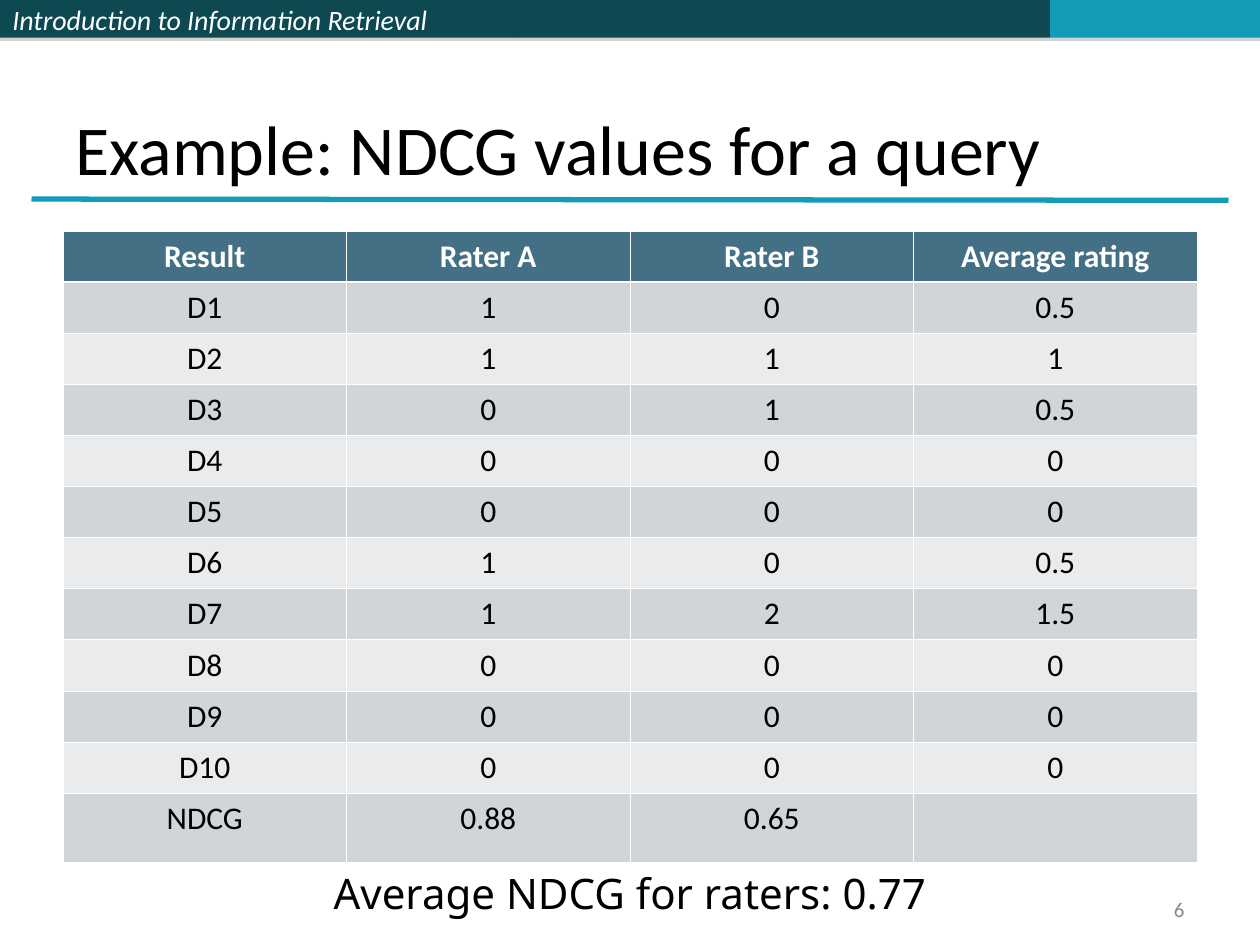
from lxml import etree
from pptx import Presentation
from pptx.dml.color import RGBColor
from pptx.enum.shapes import MSO_CONNECTOR, MSO_SHAPE
from pptx.enum.text import MSO_ANCHOR, MSO_AUTO_SIZE, PP_ALIGN
from pptx.oxml.ns import qn
from pptx.util import Pt

RECTANGLE = MSO_SHAPE.RECTANGLE
STRAIGHT = MSO_CONNECTOR.STRAIGHT
TOP, MIDDLE, BOTTOM = MSO_ANCHOR.TOP, MSO_ANCHOR.MIDDLE, MSO_ANCHOR.BOTTOM
LEFT, CENTER, RIGHT = PP_ALIGN.LEFT, PP_ALIGN.CENTER, PP_ALIGN.RIGHT
FIT_SHAPE = MSO_AUTO_SIZE.SHAPE_TO_FIT_TEXT

RATINGS = [
    ("Result", "Rater A", "Rater B", "Average rating"),
    ("D1", "1", "0", "0.5"),
    ("D2", "1", "1", "1"),
    ("D3", "0", "1", "0.5"),
    ("D4", "0", "0", "0"),
    ("D5", "0", "0", "0"),
    ("D6", "1", "0", "0.5"),
    ("D7", "1", "2", "1.5"),
    ("D8", "0", "0", "0"),
    ("D9", "0", "0", "0"),
    ("D10", "0", "0", "0"),
    ("NDCG", "0.88", "0.65", ""),
]


def color(value):
    return RGBColor.from_string(value)


def add_element(parent, tag, **attributes):
    element = etree.SubElement(parent, qn(tag))
    for name, value in attributes.items():
        element.set(name, str(value))
    return element


class SlideBuilder:
    font = "Calibri"
    dark, accent, black, white, gray = "0E4851", "139CB7", "000000", "FFFFFF", "898989"
    header_fill, band_fills = "437085", ("E9EBED", "CFD5D9")
    thin, thick = 0.45, 1.47

    def __init__(self, page):
        self.page = page

    def fill_text(self, frame, text, size, ink, align=LEFT, font=None, bold=False, italic=False):
        frame.text = text
        paragraph = frame.paragraphs[0]
        paragraph.alignment = align
        for span in paragraph.runs:
            span.font.name = font or self.font
            span.font.size = Pt(size)
            span.font.bold = bold
            span.font.italic = italic
            span.font.color.rgb = color(ink)

    def bar(self, left, width, height, fill):
        shape = self.page.shapes.add_shape(RECTANGLE, Pt(left), 0, Pt(width), Pt(height))
        shape.fill.solid()
        shape.fill.fore_color.rgb = color(fill)
        shape.line.fill.background()
        shape.shadow.inherit = False
        effects = shape._element.spPr.find(qn("a:effectLst"))
        shadow = add_element(effects, "a:outerShdw", blurRad=0, dist=Pt(1.8),
                             dir=5400000, rotWithShape=0)
        tint = add_element(shadow, "a:srgbClr", val="808080")
        add_element(tint, "a:alpha", val=35000)
        return shape

    def rule(self, start, end, ink, width):
        line = self.page.shapes.add_connector(STRAIGHT, *map(Pt, start + end))
        line.line.color.rgb = color(ink)
        line.line.width = Pt(width)
        add_element(line._element.spPr, "a:effectLst")

    def text(self, bounds, text, size, ink, anchor=TOP, wrap=True, **style):
        box = self.page.shapes.add_textbox(*map(Pt, bounds))
        frame = box.text_frame
        frame.word_wrap = wrap
        frame.vertical_anchor = anchor
        if not wrap:
            frame.auto_size = FIT_SHAPE
        self.fill_text(frame, text, size, ink, **style)

    def borders(self, cell, top, bottom):
        properties = cell._tc.get_or_add_tcPr()
        widths = {"a:lnL": self.thin, "a:lnR": self.thin, "a:lnT": top, "a:lnB": bottom}
        for tag, width in widths.items():
            line = add_element(properties, tag, w=Pt(width))
            add_element(add_element(line, "a:solidFill"), "a:srgbClr", val=self.white)

    def table(self, left, top, width, row_height, last_height, rows):
        heights = [row_height] * (len(rows) - 1) + [last_height]
        table = self.page.shapes.add_table(len(rows), len(rows[0]), Pt(left), Pt(top),
                                           Pt(width), Pt(sum(heights))).table
        for i, (values, height) in enumerate(zip(rows, heights)):
            header = i == 0
            table.rows[i].height = Pt(height)
            for j, value in enumerate(values):
                cell = table.cell(i, j)
                self.borders(cell, self.thick if i == 1 else self.thin,
                             self.thick if header else self.thin)
                cell.fill.solid()
                cell.fill.fore_color.rgb = color(
                    self.header_fill if header else self.band_fills[i % 2])
                self.fill_text(cell.text_frame, value, 18, self.white if header else self.black,
                               align=CENTER, bold=header)


def main():
    deck = Presentation()
    deck.slide_width, deck.slide_height = Pt(720), Pt(540)
    slide = SlideBuilder(deck.slides.add_slide(deck.slide_layouts[6]))

    # Header band
    course = slide.bar(0, 293.76, 21.6, slide.dark)
    course.text_frame.vertical_anchor = MIDDLE
    slide.fill_text(course.text_frame, "Introduction to Information Retrieval", 16,
                    slide.white, italic=True)
    slide.bar(293.76, 306.24, 21.6, slide.dark)
    slide.bar(600, 120, 21.6, slide.accent)

    # Title and its rule
    slide.rule((18, 113.76), (702, 114.48), slide.accent, 3)
    slide.text((36, 21.6, 648, 90), "Example: NDCG values for a query", 40,
               slide.black, anchor=BOTTOM)

    # Ratings table
    slide.table(36, 132, 648, 29.2, 39.8, RATINGS)

    # Page number and result
    slide.text((516, 510, 168, 19.5), "6", 12, slide.gray, anchor=MIDDLE, align=RIGHT)
    slide.text((183.6, 492, 354, 36), "Average NDCG for raters: 0.77", 24,
               slide.black, wrap=False, font="Noto Sans")

    deck.save("out.pptx")


if __name__ == "__main__":
    main()
